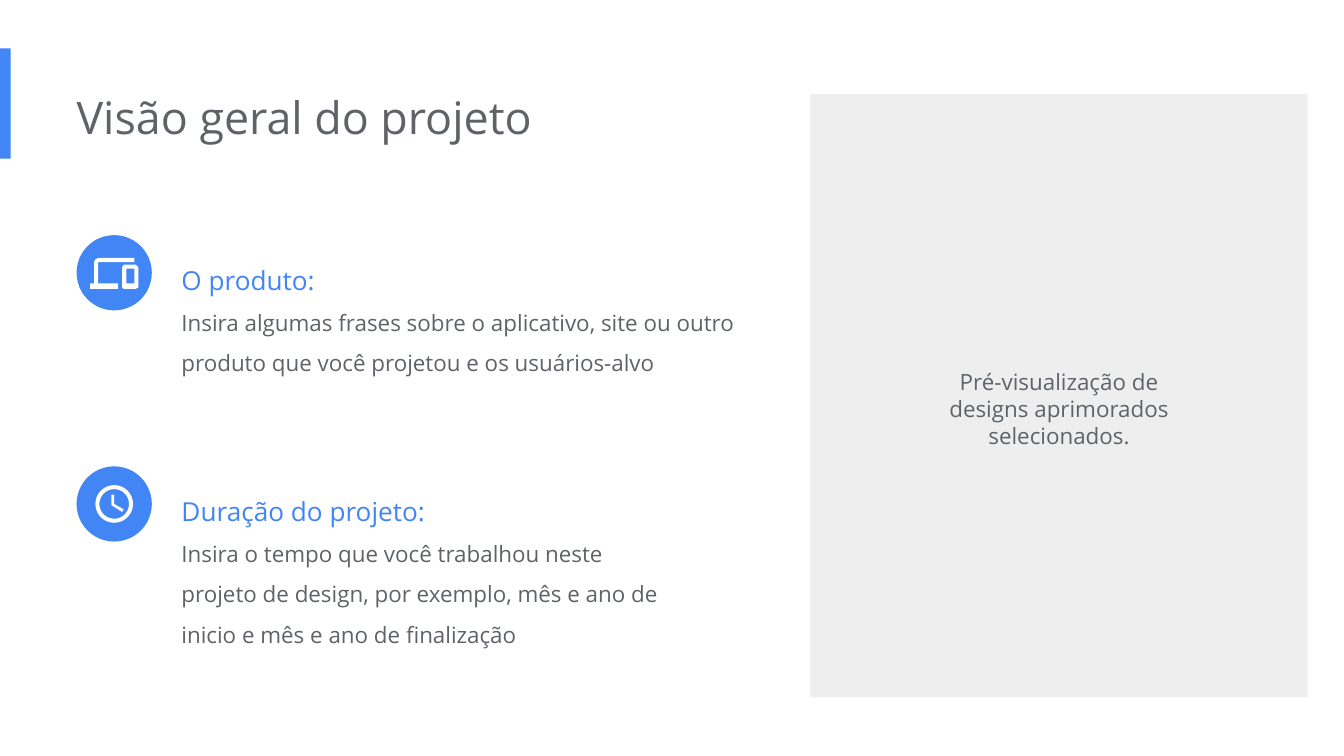
import math

import pptx
import pptx.dml.color
import pptx.enum.shapes
import pptx.enum.text
import pptx.util
from lxml import etree
from pptx.util import Inches

BLUE = pptx.dml.color.RGBColor(0x42, 0x85, 0xF4)
GRAY = pptx.dml.color.RGBColor(0x5F, 0x63, 0x68)
PALE = pptx.dml.color.RGBColor(0xEE, 0xEE, 0xEE)
WHITE = pptx.dml.color.RGBColor(0xFF, 0xFF, 0xFF)
FONT = "Open Sans"
SHAPES = pptx.enum.shapes.MSO_SHAPE
ALIGN = pptx.enum.text.PP_ALIGN
LEFT_EDGE = 0.57
BADGE_SIZE = 0.56
BODY_LEFT = 1.35

LAPTOP = [(-0.12, -0.08), (0.15, -0.08), (0.15, -0.11), (-0.12, -0.11),
          (-0.14, -0.1), (-0.15, -0.08), (-0.15, 0.08), (-0.18, 0.08),
          (-0.18, 0.12), (0.03, 0.12), (0.03, 0.08), (-0.12, 0.08)]
PHONE = [(0.07, -0.06), (0.16, -0.06), (0.18, -0.04), (0.18, 0.11),
         (0.16, 0.12), (0.07, 0.12), (0.06, 0.11), (0.06, -0.04)]
SCREEN = [(0.09, -0.03), (0.15, -0.03), (0.15, 0.08), (0.09, 0.08)]
HANDS = [(-0.02, -0.07), (-0.02, 0.01), (0.06, 0.06), (0.07, 0.04),
         (0, 0), (0, -0.07)]


def ring(radius, steps=48):
    """Return the points of a circle around the origin."""
    angles = [2 * math.pi * step / steps for step in range(steps)]
    return [(radius * math.cos(angle), radius * math.sin(angle)) for angle in angles]


def paint(shape, color):
    """Give a shape a flat fill without line or shadow."""
    shape.shadow.inherit = False
    shape.fill.solid()
    shape.fill.fore_color.rgb = color
    shape.line.fill.background()


def add_block(page, kind, left, top, width, height, color):
    """Add a flat preset shape."""
    block = page.shapes.add_shape(
        kind, Inches(left), Inches(top), Inches(width), Inches(height))
    paint(block, color)


def add_badge(page, top, contours):
    """Add a round badge with a white icon centred in it."""
    add_block(page, SHAPES.OVAL, LEFT_EDGE, top, BADGE_SIZE, BADGE_SIZE, BLUE)
    center_x = LEFT_EDGE + BADGE_SIZE / 2
    center_y = top + BADGE_SIZE / 2
    builder = None
    for contour in contours:
        points = [(Inches(center_x + x), Inches(center_y + y)) for x, y in contour]
        if builder is None:
            builder = page.shapes.build_freeform(*points[0])
        else:
            builder.move_to(*points[0])
        builder.add_line_segments(points[1:], close=True)
    paint(builder.convert_to_shape(), WHITE)


def place(box, left, top, width, height, inset=0):
    """Position a text box or placeholder and set its frame."""
    box.left, box.top = Inches(left), Inches(top)
    box.width, box.height = Inches(width), Inches(height)
    frame = box.text_frame
    frame.word_wrap = True
    frame.auto_size = pptx.enum.text.MSO_AUTO_SIZE.NONE
    frame.vertical_anchor = pptx.enum.text.MSO_ANCHOR.TOP
    frame.margin_left = Inches(inset)
    frame.margin_top = frame.margin_right = frame.margin_bottom = Inches(0.1)


def style(para, size, color, align=ALIGN.LEFT, spacing=1.0):
    """Format a paragraph and its runs."""
    para.alignment = align
    para.line_spacing = spacing
    para.space_before = para.space_after = pptx.util.Pt(0)
    for span in para.runs:
        span.font.name = FONT
        span.font.size = pptx.util.Pt(size)
        span.font.color.rgb = color


def remove_bullet(para):
    """Clear the bullet and indent of a paragraph."""
    properties = para._p.get_or_add_pPr()
    properties.set("marL", "0")
    properties.set("indent", "0")
    etree.SubElement(properties, pptx.oxml.ns.qn("a:buNone"))


def fill_section(box, top, width, heading, detail):
    """Write a blue heading and a gray description in a body placeholder."""
    place(box, BODY_LEFT, top, width, 1.06)
    box.text_frame.text = f"{heading}\n{detail}"
    for para, size, color in zip(box.text_frame.paragraphs, (14, 12), (BLUE, GRAY)):
        style(para, size, color, spacing=1.5)
        remove_bullet(para)


def add_preview(page):
    """Add the preview panel and its caption."""
    add_block(page, SHAPES.RECTANGLE, 6.03, 0.7, 3.7, 4.49, PALE)
    box = page.shapes.add_textbox(0, 0, 0, 0)
    place(box, 6.89, 2.64, 1.98, 0.61, inset=0.1)
    box.text_frame.text = "Pré-visualização de designs aprimorados selecionados."
    style(box.text_frame.paragraphs[0], 12, GRAY, ALIGN.CENTER)


def main():
    """Build the project overview slide."""
    deck = pptx.Presentation()
    deck.slide_width, deck.slide_height = Inches(10), Inches(10 * 9 / 16)
    page = deck.slides.add_slide(deck.slide_layouts.get_by_name("Two Content"))
    title, product, duration = page.placeholders

    place(title, LEFT_EDGE, 0.57, 6.73, 0.61)
    title.text_frame.text = "Visão geral do projeto"
    style(title.text_frame.paragraphs[0], 24, GRAY)

    add_block(page, SHAPES.RECTANGLE, 0, 0.36, 0.08, 0.82, BLUE)
    add_preview(page)
    sections = [
        (product, 1.75, 4.47, "O produto:",
         "Insira algumas frases sobre o aplicativo, site ou outro produto "
         "que você projetou e os usuários-alvo",
         [LAPTOP, PHONE, SCREEN]),
        (duration, 3.47, 3.77, "Duração do projeto:",
         "Insira o tempo que você trabalhou neste projeto de design, por exemplo, "
         "mês e ano de inicio e mês e ano de finalização",
         [ring(0.14), ring(0.11), HANDS]),
    ]
    for box, top, width, heading, detail, icon in sections:
        fill_section(box, top, width, heading, detail)
        add_badge(page, top, icon)

    deck.save("out.pptx")


if __name__ == "__main__":
    main()
